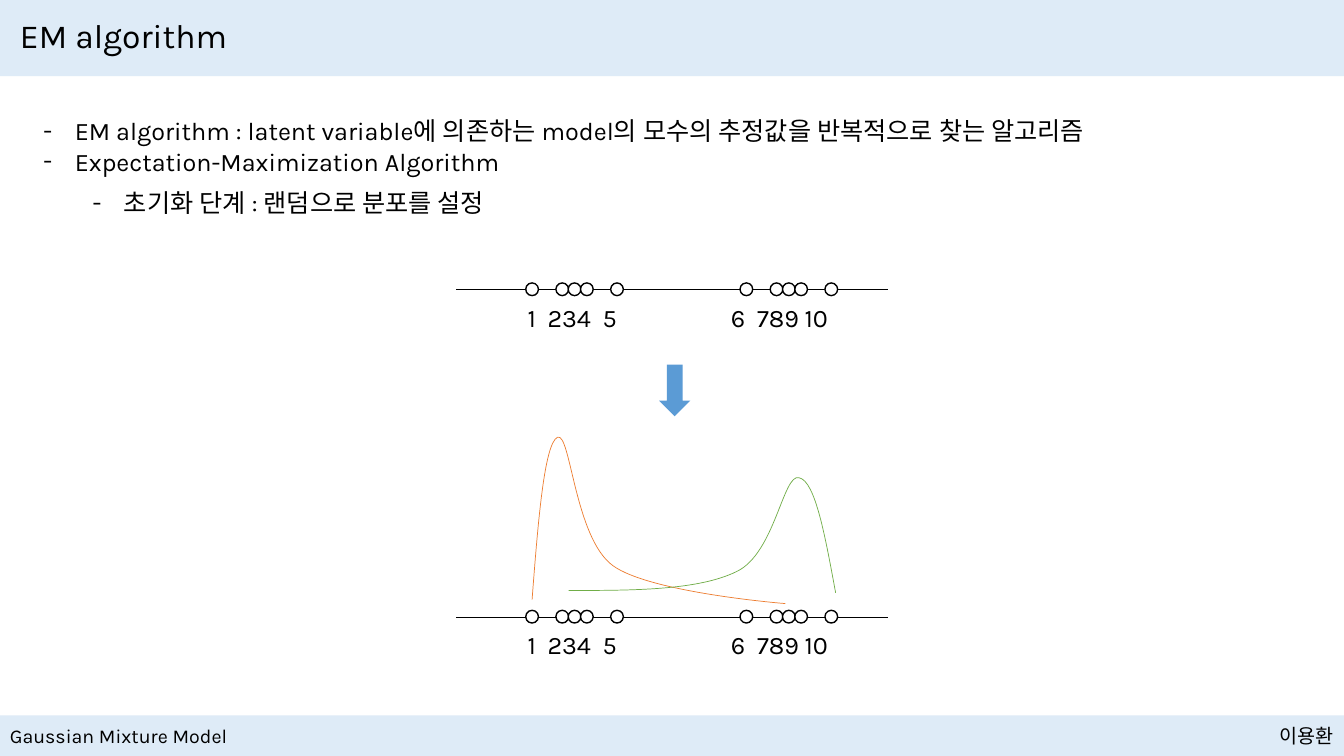
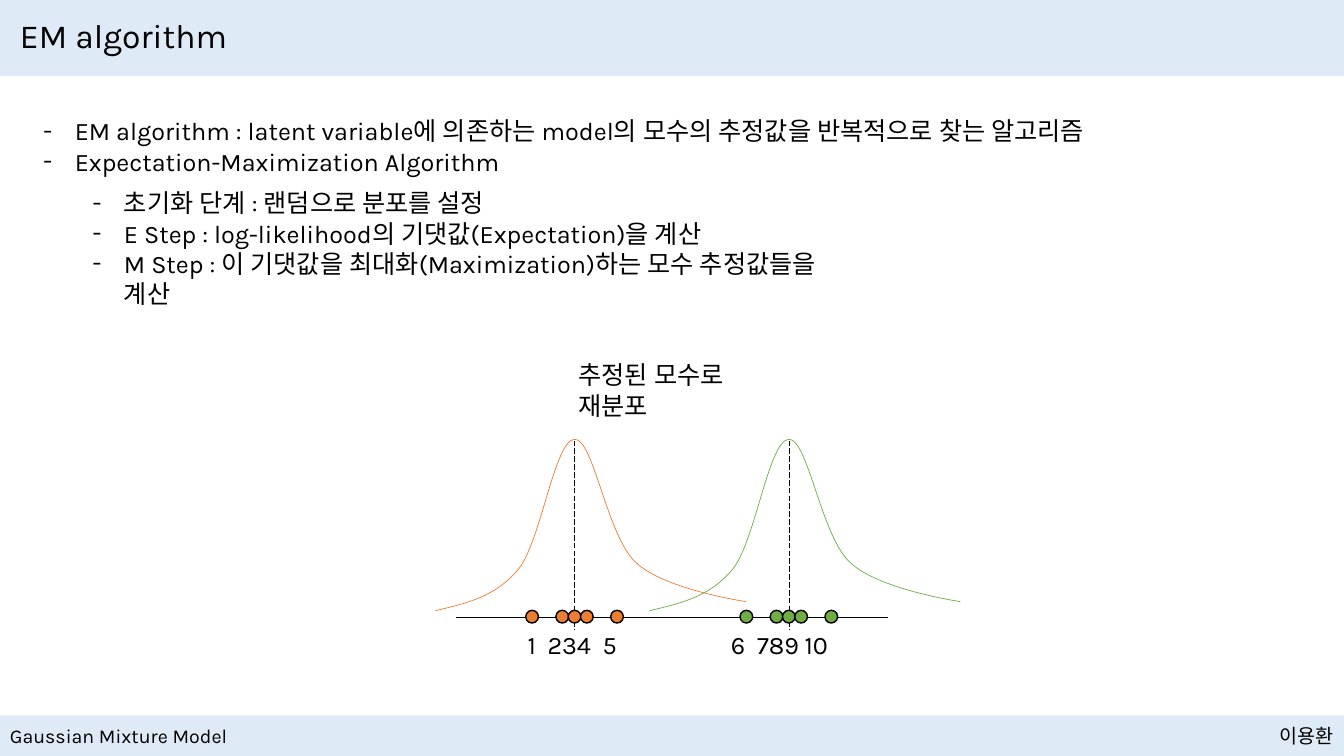
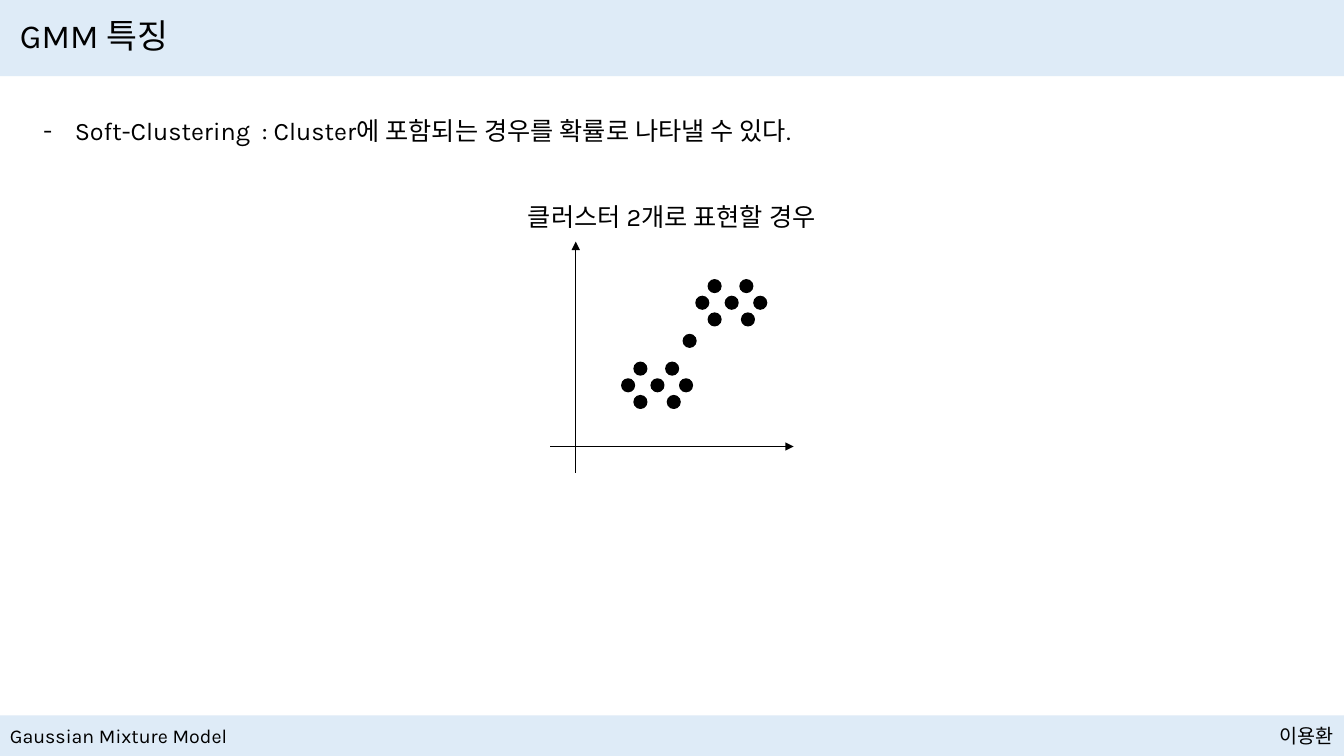
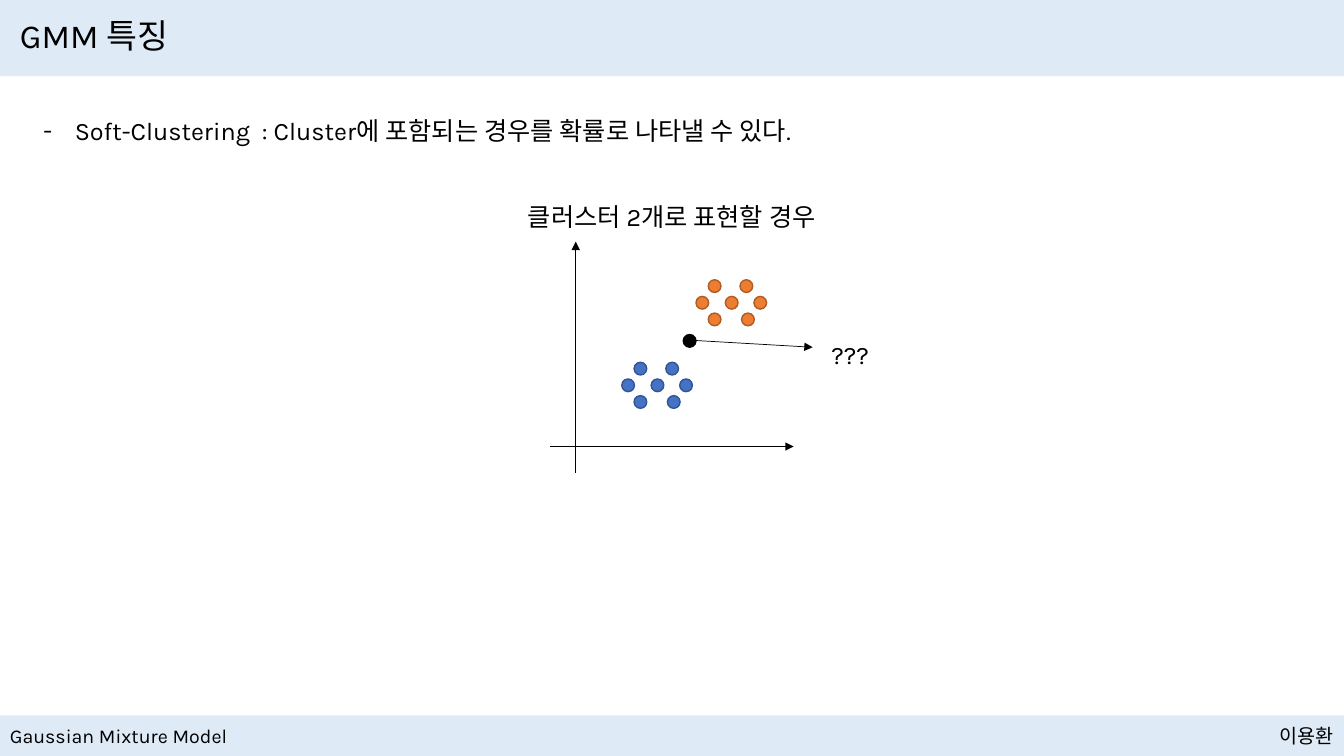
"""Build four slides on the EM algorithm and Gaussian mixture models."""
from dataclasses import dataclass

from lxml.etree import SubElement
from pptx import Presentation
from pptx.dml.color import RGBColor
from pptx.enum.dml import MSO_LINE
from pptx.enum.shapes import MSO_CONNECTOR as Connector, MSO_SHAPE as Preset
from pptx.enum.text import MSO_ANCHOR as Anchor, MSO_AUTO_SIZE as AutoSize, PP_ALIGN as Align
from pptx.oxml.ns import qn
from pptx.util import Cm, Pt


@dataclass(frozen=True)
class Theme:
    font: str = "Karla"
    title: int = 24
    body: int = 18
    footer: int = 14
    thin: float = 0.5
    outline: float = 1
    band: str = "DEEBF7"
    black: str = "000000"
    white: str = "FFFFFF"
    orange: str = "ED7D31"
    dark_orange: str = "AF5C24"
    green: str = "70AD47"
    blue: str = "4472C4"
    dark_blue: str = "325491"
    arrow: str = "5B9BD5"


theme = Theme()


def write(shape, box, lines, size=theme.body, anchor=Anchor.TOP, bullet=False, tabs=(), **layout):
    """Place a text shape and fill it with formatted paragraphs."""
    shape.left, shape.top, shape.width, shape.height = map(Cm, box)
    frame = shape.text_frame
    frame.text = "\n".join(lines)
    frame_format = {"word_wrap": True, "auto_size": AutoSize.NONE, "vertical_anchor": anchor}
    for name, value in frame_format.items():
        setattr(frame, name, value)
    paragraph_format = {"alignment": Align.LEFT, "space_before": Pt(0), "line_spacing": 1.0} | layout
    font_format = {"name": theme.font, "size": Pt(size)}
    for paragraph in frame.paragraphs:
        for name, value in paragraph_format.items():
            setattr(paragraph, name, value)
        run = paragraph.runs[0]
        for name, value in font_format.items():
            setattr(run.font, name, value)
        run.font.color.rgb = RGBColor.from_string(theme.black)
        SubElement(run._r.get_or_add_rPr(), qn("a:ea"), typeface=theme.font)
        properties = paragraph._p.get_or_add_pPr()
        if bullet:
            properties.set("marL", str(Cm(0.79)))
            properties.set("indent", str(Cm(-0.79)))
            SubElement(properties, qn("a:buFont"), typeface=theme.font)
            SubElement(properties, qn("a:buChar"), char="-")
        if tabs:
            tab_list = SubElement(properties, qn("a:tabLst"))
            for position in tabs:
                SubElement(tab_list, qn("a:tab"), pos=str(Cm(position)), algn="l")


def paint(shape, fill=None, line=None, width=theme.outline):
    """Give a shape its fill and outline, without a shadow."""
    shape.shadow.inherit = False
    for part, color in ((shape.fill, fill), (shape.line.fill, line)):
        if color:
            part.solid()
            part.fore_color.rgb = RGBColor.from_string(color)
        else:
            part.background()
    if line:
        shape.line.width = Pt(width)


presentation = Presentation()
presentation.slide_width, presentation.slide_height = Cm(33.87), Cm(19.05)

definition = [
    "EM algorithm : latent variable에 의존하는 model의 모수의 추정값을 반복적으로 찾는 알고리즘",
    "Expectation-Maximization Algorithm",
]
steps = [
    "초기화 단계 : 랜덤으로 분포를 설정",
    "E Step : log-likelihood의 기댓값(Expectation)을 계산",
    "M Step : 이 기댓값을 최대화(Maximization)하는 모수 추정값들을 계산",
]
feature = ["Soft-Clustering  : Cluster에 포함되는 경우를 확률로 나타낼 수 있다."]
contents = [
    ("EM algorithm", [definition, steps[:1]]),
    ("EM algorithm", [definition, steps]),
    ("GMM 특징", [feature]),
    ("GMM 특징", [feature]),
]
list_boxes = [(0.84, 2.79, 32.16, 1.8), (2.08, 4.6, 19.61, 2.57)]
layouts = {1: presentation.slide_layouts[1], 2: presentation.slide_layouts[3]}

for title, lists in contents:
    slide = presentation.slides.add_slide(layouts[len(lists)])
    write(slide.shapes.title, (0.25, 0.25, 33.38, 1.4), [title], theme.title, Anchor.MIDDLE, line_spacing=0.9)
    for number, (box, lines) in enumerate(zip(list_boxes, lists), start=1):
        write(slide.placeholders[number], box, lines, bullet=True)

start, estimate, scatter, clusters = presentation.slides

master_shapes = []
for top, height in ((0, 1.92), (18.03, 1.02)):
    band = start.shapes.add_shape(Preset.RECTANGLE, 0, Cm(top), presentation.slide_width, Cm(height))
    paint(band, theme.band)
    master_shapes.append(band)
for left, width, text, alignment in (
    (0, 6.1, "Gaussian Mixture Model", Align.LEFT),
    (31.55, 2.31, "이용환", Align.RIGHT),
):
    footer = start.shapes.add_textbox(0, 0, 0, 0)
    write(footer, (left, 18.11, width, 0.86), [text], theme.footer, alignment=alignment)
    master_shapes.append(footer)
for number, shape in enumerate(master_shapes, start=100):
    shape.element.nvSpPr.cNvPr.id = number
    presentation.slide_master.shapes.element.append(shape.element)

upper, lower = 7.29, 15.54
group_centers = 14.48, 19.88
number_lines = [
    (start, upper, theme.white, theme.white),
    (start, lower, theme.white, theme.white),
    (estimate, lower, theme.orange, theme.green),
]

lines = [(slide, 11.5, y + 0.01, 22.38, y + 0.01, "plain") for slide, y, *_ in number_lines]
lines += [(estimate, x, 11.1, x, 15.88, "dash") for x in group_centers]
for slide in (scatter, clusters):
    lines += [(slide, 13.87, 11.25, 20, 11.25, "arrow"), (slide, 14.51, 11.91, 14.51, 6.09, "arrow")]
lines.append((clusters, 17.53, 8.58, 20.48, 8.75, "arrow"))

for slide, x1, y1, x2, y2, kind in lines:
    connector = slide.shapes.add_connector(Connector.STRAIGHT, *map(Cm, (x1, y1, x2, y2)))
    connector.line.color.rgb = RGBColor.from_string(theme.black)
    connector.line.width = Pt(theme.thin)
    if kind == "dash":
        connector.line.dash_style = MSO_LINE.LONG_DASH
    properties = connector.element.spPr
    if kind == "arrow":
        SubElement(properties.find(qn("a:ln")), qn("a:tailEnd"), type="triangle")
    SubElement(properties, qn("a:effectLst"))

early_peak = [
    (13.41, 15.11), (13.56, 13.13), (13.72, 11.18), (14.05, 11.02), (14.38, 10.87),
    (14.48, 13.54), (15.44, 14.25), (16.38, 14.94), (19.79, 15.21), (19.79, 15.21),
]
late_peak = [
    (14.33, 14.88), (15.95, 14.88), (17.6, 14.88), (18.57, 14.4), (19.53, 13.94),
    (19.74, 11.91), (20.14, 12.04), (20.55, 12.12), (20.8, 13.54), (21.06, 14.94),
]
bell = [
    (-3.51, 15.39), (-2.77, 15.21), (-2.01, 15.06), (-1.42, 14.35), (-0.84, 13.64),
    (-0.51, 11.1), (0, 11.07), (0.48, 11.05), (0.81, 13.49), (1.54, 14.17),
    (2.26, 14.86), (4.32, 15.16), (4.32, 15.16),
]
curves = [(start, early_peak, theme.orange), (start, late_peak, theme.green)]
for center, color in zip(group_centers, (theme.orange, theme.green)):
    curves.append((estimate, [(center + x, y) for x, y in bell], color))

for slide, controls, color in curves:
    points = [(Cm(x), Cm(y)) for x, y in controls]
    builder = slide.shapes.build_freeform(*points[0])
    builder.add_line_segments(points[3::3], close=False)
    curve = builder.convert_to_shape()
    paint(curve, line=color, width=theme.thin)
    segments = list(curve.element.iter(qn("a:lnTo")))
    for number, segment in enumerate(segments):
        bezier = SubElement(segment.getparent(), qn("a:cubicBezTo"))
        for x, y in points[3 * number + 1:3 * number + 4]:
            SubElement(bezier, qn("a:pt"), x=str(x - curve.left), y=str(y - curve.top))
        segment.getparent().remove(segment)

dots = []
for slide, y, *fills in number_lines:
    for center, fill in zip(group_centers, fills):
        dots += [(slide, center + offset, y, fill, theme.black) for offset in (-1.07, -0.31, 0, 0.31, 1.07)]

cluster_offsets = [
    (-0.43, -0.42), (0.37, -0.42), (-0.74, 0), (0, 0), (0.72, 0), (-0.43, 0.42), (0.41, 0.42),
]
black_dots = theme.black, theme.black
for slide, low_colors, high_colors in (
    (scatter, black_dots, black_dots),
    (clusters, (theme.blue, theme.dark_blue), (theme.orange, theme.dark_orange)),
):
    for x, y, colors in ((16.57, 9.71, low_colors), (18.44, 7.63, high_colors)):
        dots += [(slide, x + dx, y + dy, *colors) for dx, dy in cluster_offsets]
    dots.append((slide, 17.38, 8.59, *black_dots))

diameter = 0.32
for slide, x, y, fill, outline in dots:
    dot = slide.shapes.add_shape(
        Preset.OVAL, Cm(x - diameter / 2), Cm(y - diameter / 2), Cm(diameter), Cm(diameter)
    )
    paint(dot, fill, outline)

down_arrow = start.shapes.add_shape(Preset.DOWN_ARROW, Cm(16.61), Cm(9.19), Cm(0.79), Cm(1.3))
paint(down_arrow, theme.arrow)

number_tabs = {"tabs": (0.5, 1.89, 5.12, 5.78, 6.98)}
captions = [
    (slide, (13.05, y + 0.2, 8.84, 1.02), "1\t234\t5\t6\t789\t10", number_tabs)
    for slide, y, *_ in number_lines
]
captions.append((estimate, (14.33, 8.94, 5.92, 1.02), "추정된 모수로 재분포", {}))
for slide in (scatter, clusters):
    captions.append((slide, (12.88, 4.95, 8.1, 1.02), "클러스터 2개로 표현할 경우", {"alignment": Align.CENTER}))
captions.append((clusters, (20.7, 8.43, 1.83, 1.02), "???", {}))
for slide, box, text, options in captions:
    write(slide.shapes.add_textbox(0, 0, 0, 0), box, [text], **options)

presentation.save("out.pptx")
